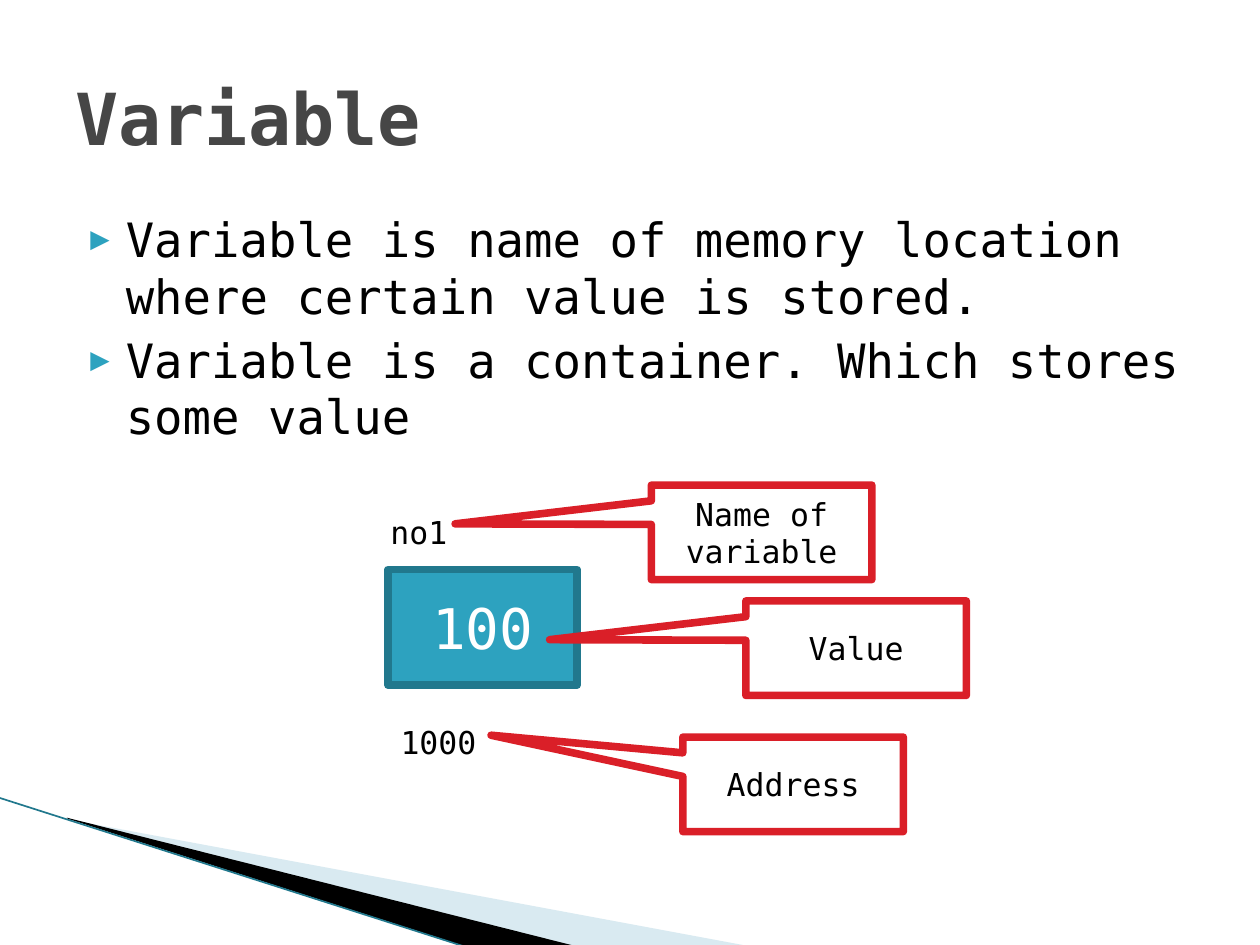
from pptx import Presentation
from pptx.dml.color import RGBColor
from pptx.enum.shapes import MSO_CONNECTOR as Link, MSO_SHAPE as Shape
from pptx.enum.text import MSO_ANCHOR as Anchor, PP_ALIGN as Align
from pptx.oxml.ns import qn
from pptx.util import Pt
from lxml.etree import SubElement as sub


def tint(code):
    return RGBColor.from_string(code)


class Page:
    """Draws each kind of element on one slide in a shared style."""

    font = "DejaVu Sans Mono"

    def __init__(self, deck):
        self.shapes = deck.slides.add_slide(deck.slide_layouts[6]).shapes

    def fill_text(self, frame, lines, size, color="000000", bold=False, **form):
        frame.word_wrap = True
        for i, line in enumerate(lines):
            para = frame.add_paragraph() if i else frame.paragraphs[0]
            for key, value in form.items():
                setattr(para, key, value)
            run = para.add_run()
            run.text = line
            look = {"name": self.font, "size": Pt(size), "bold": bold}
            for key, value in look.items():
                setattr(run.font, key, value)
            run.font.color.rgb = tint(color)

    def text(self, box, lines, size, anchor=Anchor.TOP, **form):
        frame = self.shapes.add_textbox(*map(Pt, box)).text_frame
        frame.vertical_anchor = anchor
        self.fill_text(frame, lines, size, **form)
        return frame

    def list(self, box, lines, size):
        frame = self.text(box, lines, size, space_before=Pt(4))
        for para in frame.paragraphs:
            prop = para._p.get_or_add_pPr()
            prop.set("marL", str(Pt(28.8)))
            prop.set("indent", str(Pt(-20.2)))
            sub(sub(prop, qn("a:buClr")), qn("a:srgbClr"), val="2DA2BF")
            sub(prop, qn("a:buSzPct"), val="68000")
            sub(prop, qn("a:buFont"), typeface=self.font)
            sub(prop, qn("a:buChar"), char="▶")

    def box(self, kind, box, label, size, fill, line, color):
        shape = self.shapes.add_shape(kind, *map(Pt, box))
        shape.shadow.inherit = False
        shape.fill.solid()
        shape.fill.fore_color.rgb = tint(fill)
        shape.line.color.rgb = tint(line)
        shape.line.width = Pt(4.33)
        shape.text_frame.vertical_anchor = Anchor.MIDDLE
        self.fill_text(shape.text_frame, [label], size, color,
                       alignment=Align.CENTER)
        return shape

    def call(self, left, top, label, tip):
        shape = self.box(Shape.RECTANGULAR_CALLOUT, (left, top, 126, 54),
                         label, 18, "FFFFFF", "DA1F28", "000000")
        for i, value in enumerate(tip):
            shape.adjustments[i] = value

    def wedge(self, points, fill, alpha=100):
        first, *rest = [(Pt(x), Pt(y)) for x, y in points]
        outline = self.shapes.build_freeform(*first)
        outline.add_line_segments(rest)
        shape = outline.convert_to_shape()
        shape.shadow.inherit = False
        shape.line.fill.background()
        shape.fill.solid()
        shape.fill.fore_color.rgb = tint(fill)
        color = shape._element.spPr.find(qn("a:solidFill")).find(qn("a:srgbClr"))
        sub(color, qn("a:alpha"), val=str(alpha * 1000))

    def line(self, ends, color, width):
        link = self.shapes.add_connector(Link.STRAIGHT, *map(Pt, ends))
        link.line.color.rgb = tint(color)
        link.line.width = Pt(width)
        sub(link._element.spPr, qn("a:effectLst"))


def main():
    deck = Presentation()
    deck.slide_width, deck.slide_height = Pt(720), Pt(540)
    page = Page(deck)

    page.wedge([(39.6, 468.4), (428.4, 540.7), (328.3, 540.7), (39.6, 468)],
               "A0CBDC", 40)
    page.wedge([(38.2, 467.3), (329, 540.7), (267.8, 541.4), (38.9, 468)], "000000")
    page.line((-0.7, 455.8, 267.1, 541.4), "21788D", 0.95)

    page.list((36, 116.6, 648, 356.4), [
        "Variable is name of memory location where certain value is stored.",
        "Variable is a container. Which stores some value"], 27)
    page.text((36, 21.6, 648, 90), ["Variable"], 41, Anchor.MIDDLE,
              color="464646", bold=True)

    page.box(Shape.RECTANGLE, (221.8, 325.4, 108, 66.2), "100", 32,
             "2DA2BF", "21788D", "FFFFFF")
    page.text((221.8, 409.7, 84.2, 30.2), ["1000"], 18)
    page.text((216, 289.4, 126, 30.2), ["no1"], 18)

    side, high = (-1.39, -0.09), (-1.37, -0.52)
    for left, top, label, tip in [(372.2, 277.2, "Name of variable", side),
                                  (426.2, 343.4, "Value", side),
                                  (390.2, 421.2, "Address", high)]:
        page.call(left, top, label, tip)

    deck.save("out.pptx")


if __name__ == "__main__":
    main()
